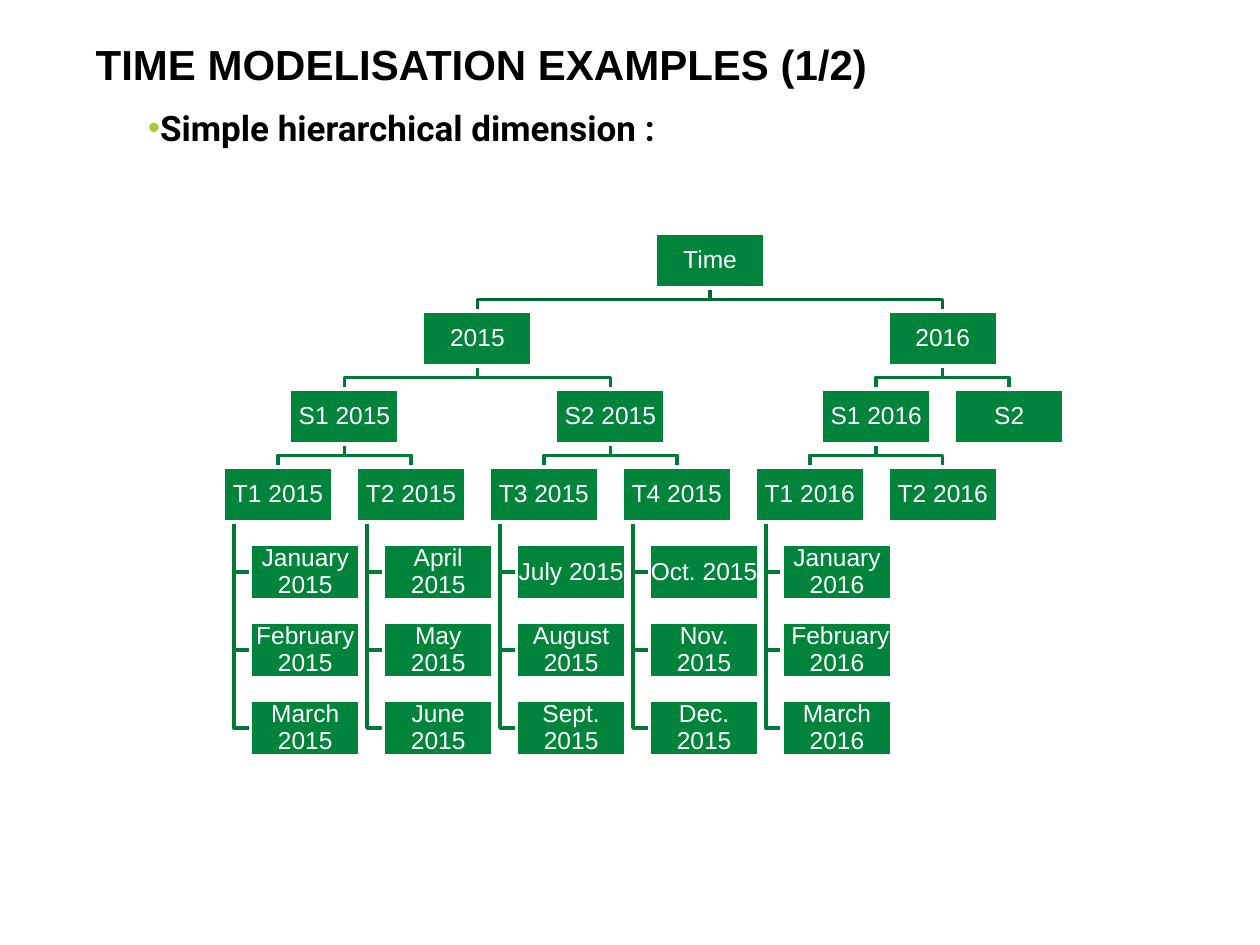
from lxml.etree import SubElement
from pptx import Presentation
from pptx.dml.color import RGBColor
from pptx.enum.shapes import MSO_SHAPE
from pptx.enum.text import MSO_ANCHOR, PP_ALIGN
from pptx.oxml.ns import qn
from pptx.util import Cm, Pt

# Content: each node is (label, children); the quarters hold their months
TITLE = "TIME MODELISATION EXAMPLES (1/2)"
SUBTITLE = "Simple hierarchical dimension :"
TIME_TREE = ("Time", [
    ("2015", [
        ("S1 2015", [
            ("T1 2015", ["January 2015", "February 2015", "March 2015"]),
            ("T2 2015", ["April 2015", "May 2015", "June 2015"]),
        ]),
        ("S2 2015", [
            ("T3 2015", ["July 2015", "August 2015", "Sept. 2015"]),
            ("T4 2015", ["Oct. 2015", "Nov. 2015", "Dec. 2015"]),
        ]),
    ]),
    ("2016", [
        ("S1 2016", [
            ("T1 2016", ["January 2016", " February 2016", "March 2016"]),
            ("T2 2016", []),
        ]),
        ("S2", []),
    ]),
])

THEME = {
    "font": "Arial", "subtitle_font": "Roboto",
    "title_size": Pt(24), "subtitle_size": Pt(20), "box_size": Pt(14),
    "text": RGBColor(0, 0, 0), "white": RGBColor(255, 255, 255),
    "box": RGBColor(0x00, 0x84, 0x3C), "bullet": "A6CE38",
    "top_link": RGBColor(0x00, 0x6A, 0x30), "link": RGBColor(0x00, 0x78, 0x36),
    "line_width": Pt(2),
}

# Tree grid
LEFT, TOP = Cm(4.5), Cm(4.7)
COLUMN_STEP, ROW_STEP = Cm(2.68), Cm(1.57)
BOX_WIDTH, BOX_HEIGHT = Cm(2.21), Cm(1.11)
MONTH_INDENT, TRUNK_INDENT = Cm(0.55), Cm(0.22)
INSET = Cm(0.03)


def style_text(frame, text, font, size, color, spacing, inset=0, bold=False):
    frame.word_wrap = True
    frame.margin_left = frame.margin_right = inset
    frame.margin_top = frame.margin_bottom = inset
    frame.text = text
    paragraph = frame.paragraphs[0]
    paragraph.line_spacing = spacing
    span = paragraph.runs[0]
    span.font.name, span.font.size = font, size
    span.font.bold, span.font.color.rgb = bold, color
    return paragraph


def place_nodes(node, depth, next_column, boxes, links):
    """Centre each parent over its children and return its column."""
    label, children = node
    months = [child for child in children if isinstance(child, str)]
    branches = [child for child in children if not isinstance(child, str)]
    columns = [place_nodes(child, depth + 1, next_column, boxes, links)
               for child in branches]
    column = (columns[0] + columns[-1]) / 2 if columns else next_column.get(depth, 0)
    next_column[depth] = column + 1

    left, top = LEFT + column * COLUMN_STEP, TOP + depth * ROW_STEP
    bottom, center = top + BOX_HEIGHT, left + BOX_WIDTH / 2
    boxes.append((label, left, top))

    # Elbows to the branches below
    middle = (bottom + top + ROW_STEP) / 2
    color = THEME["link"] if depth else THEME["top_link"]
    for child_column in columns:
        child_center = LEFT + child_column * COLUMN_STEP + BOX_WIDTH / 2
        links.append((color, [(center, bottom), (center, middle),
                              (child_center, middle), (child_center, top + ROW_STEP)]))

    # Months hang from a trunk on the left
    trunk, month_left = left + TRUNK_INDENT, left + MONTH_INDENT
    for row, month in enumerate(months, 1):
        month_top = top + row * ROW_STEP
        month_middle = month_top + BOX_HEIGHT / 2
        boxes.append((month, month_left, month_top))
        links.append((color, [(trunk, bottom), (trunk, month_middle),
                              (month_left, month_middle)]))
    return column


def draw_link(page, color, points):
    points = [(round(x), round(y)) for x, y in points]
    builder = page.shapes.build_freeform(*points[0])
    builder.add_line_segments(points[1:], close=False)
    link = builder.convert_to_shape()
    link.shadow.inherit = False
    link.fill.background()
    link.line.color.rgb, link.line.width = color, THEME["line_width"]


def draw_box(page, label, left, top):
    box = page.shapes.add_shape(MSO_SHAPE.RECTANGLE, round(left), round(top),
                                BOX_WIDTH, BOX_HEIGHT)
    box.shadow.inherit = False
    box.fill.solid()
    box.fill.fore_color.rgb = THEME["box"]
    box.line.color.rgb, box.line.width = THEME["white"], THEME["line_width"]
    box.text_frame.vertical_anchor = MSO_ANCHOR.MIDDLE
    paragraph = style_text(box.text_frame, label, THEME["font"], THEME["box_size"],
                           THEME["white"], 0.9, INSET)
    paragraph.alignment = PP_ALIGN.CENTER


def main():
    deck = Presentation()
    deck.slide_width, deck.slide_height = Cm(25.4), Cm(19.05)
    page = deck.slides.add_slide(deck.slide_layouts[6])

    # Title and bulleted subtitle
    title = page.shapes.add_textbox(Cm(1.93), Cm(0.89), Cm(22.33), Cm(1.12))
    style_text(title.text_frame, TITLE, THEME["font"], THEME["title_size"],
               THEME["text"], 0.9, bold=True)
    subtitle = page.shapes.add_textbox(Cm(1.91), Cm(2.31), Cm(22.17), Cm(8))
    paragraph = style_text(subtitle.text_frame, SUBTITLE, THEME["subtitle_font"],
                           THEME["subtitle_size"], THEME["text"], 0.8, bold=True)
    properties = paragraph._p.get_or_add_pPr()
    properties.set("marL", "0")
    properties.set("indent", str(Cm(1.07)))
    bullet_color = SubElement(properties, qn("a:buClr"))
    SubElement(bullet_color, qn("a:srgbClr"), val=THEME["bullet"])
    SubElement(properties, qn("a:buFont"), typeface=THEME["font"])
    SubElement(properties, qn("a:buChar"), char="•")

    # Time hierarchy, links behind boxes
    boxes, links = [], []
    place_nodes(TIME_TREE, 0, {}, boxes, links)
    for link in links:
        draw_link(page, *link)
    for box in boxes:
        draw_box(page, *box)

    deck.save("out.pptx")


if __name__ == "__main__":
    main()
